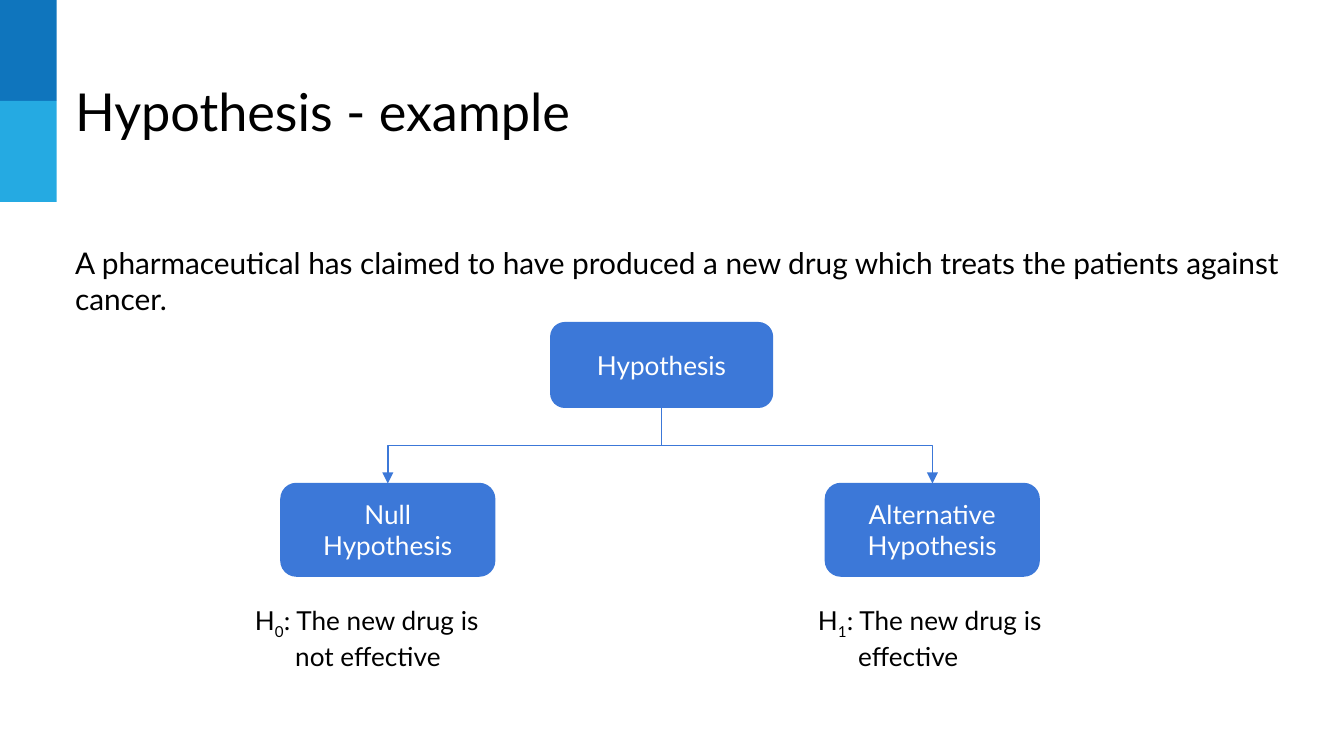
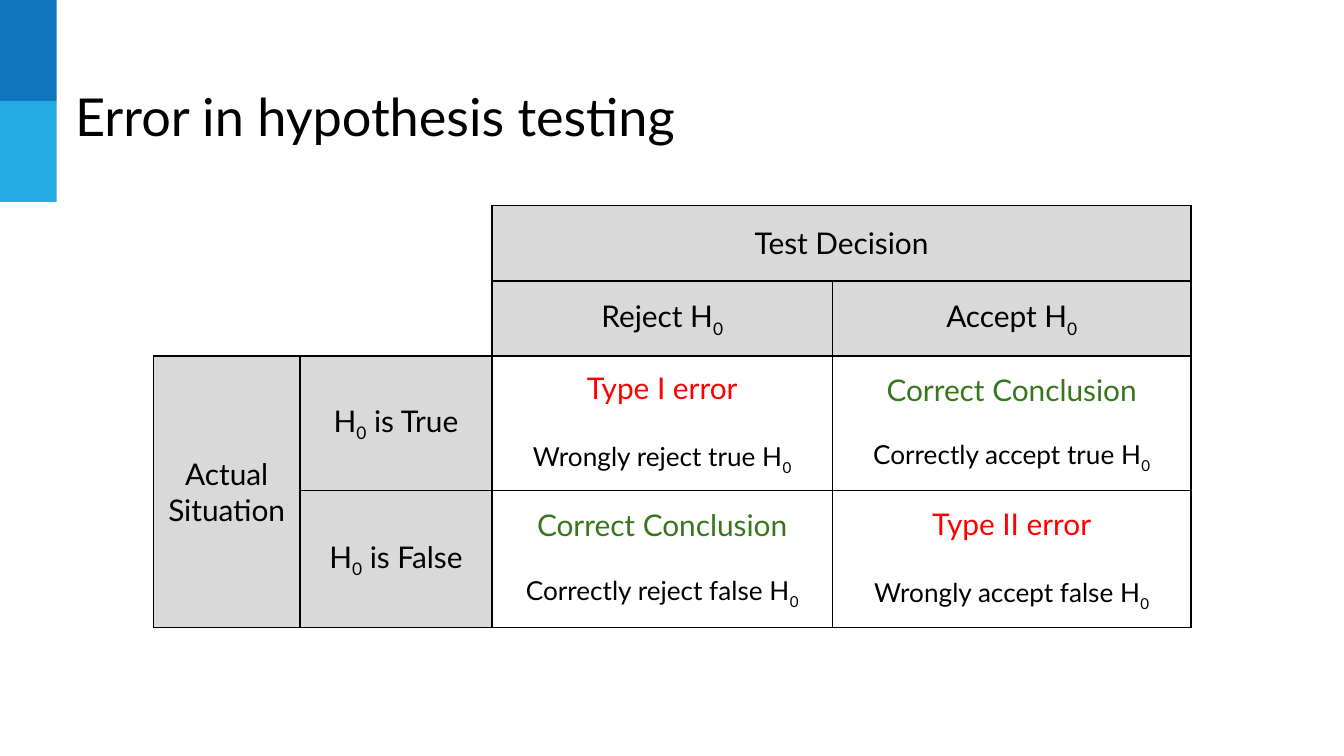
from dataclasses import dataclass

from lxml.etree import SubElement
from pptx import Presentation
from pptx.dml.color import RGBColor
from pptx.enum.shapes import MSO_CONNECTOR as Connector
from pptx.enum.shapes import MSO_SHAPE as Preset
from pptx.enum.text import MSO_ANCHOR as Anchor
from pptx.enum.text import PP_ALIGN as Align
from pptx.oxml.ns import qn
from pptx.util import Cm, Pt

FONT = "Lato"
BLACK = RGBColor(0x00, 0x00, 0x00)
WHITE = RGBColor(0xFF, 0xFF, 0xFF)
DARK_BLUE = RGBColor(0x0F, 0x75, 0xBD)
LIGHT_BLUE = RGBColor(0x25, 0xAA, 0xE2)
NODE_BLUE = RGBColor(0x3C, 0x78, 0xD8)
GREY = RGBColor(0xD9, 0xD9, 0xD9)
RED = RGBColor(0xFF, 0x00, 0x00)
GREEN = RGBColor(0x38, 0x76, 0x1D)

INSET = Cm(0.25)
LINE_WIDTH = Pt(0.75)
BAND_WIDTH, BAND_HEIGHT = 1.07, 1.91

HEADINGS = {
    (0, 2): "Test Decision",
    (1, 2): "Reject H_0",
    (1, 3): "Accept H_0",
    (2, 0): "Actual Situation",
    (2, 1): "H_0 is True",
    (3, 1): "H_0 is False",
}
OUTCOMES = {
    (2, 2): ("Type I error", RED, "Wrongly reject true H_0", 19),
    (2, 3): ("Correct Conclusion", GREEN, "Correctly accept true H_0", 17),
    (3, 2): ("Correct Conclusion", GREEN, "Correctly reject false H_0", 17),
    (3, 3): ("Type II error", RED, "Wrongly accept false H_0", 19),
}


@dataclass
class Box:
    left: float
    top: float
    width: float
    height: float

    def inside(self, left, top, width, height):
        return Box(self.left + left, self.top + top, width, height)

    def lengths(self):
        return Cm(self.left), Cm(self.top), Cm(self.width), Cm(self.height)


def write_paragraph(paragraph, text, size, color=BLACK, align=Align.LEFT):
    first, *rest = text.split("_")
    paragraph.add_run().text = first
    for piece in rest:
        subscript = paragraph.add_run()
        subscript.text = piece[0]
        subscript._r.get_or_add_rPr().set("baseline", "-25000")
        if piece[1:]:
            paragraph.add_run().text = piece[1:]
    paragraph.alignment = align
    paragraph.font.name = FONT
    paragraph.font.size = Pt(size)
    paragraph.font.color.rgb = color


def set_insets(target):
    target.margin_left = target.margin_right = INSET
    target.margin_top = target.margin_bottom = INSET


def add_text(slide, box, text, size):
    frame = slide.shapes.add_textbox(*box.lengths()).text_frame
    frame.word_wrap = True
    set_insets(frame)
    paragraph = frame.paragraphs[0]
    write_paragraph(paragraph, text, size)
    return paragraph


def add_block(slide, preset, box, color):
    shape = slide.shapes.add_shape(preset, *box.lengths())
    shape.shadow.inherit = False
    shape.fill.solid()
    shape.fill.fore_color.rgb = color
    return shape


def add_header(slide, box, title, title_top):
    for index, color in enumerate((DARK_BLUE, LIGHT_BLUE)):
        band_box = box.inside(0, index * BAND_HEIGHT, BAND_WIDTH, BAND_HEIGHT)
        band = add_block(slide, Preset.RECTANGLE, band_box, color)
        band.line.fill.background()
    add_text(slide, box.inside(1.17, title_top, 18.72, 1.6), title, 28)


def add_node(slide, box, text):
    node = add_block(slide, Preset.ROUNDED_RECTANGLE, box, NODE_BLUE)
    node.line.color.rgb = NODE_BLUE
    node.line.width = LINE_WIDTH
    frame = node.text_frame
    frame.word_wrap = True
    frame.vertical_anchor = Anchor.MIDDLE
    set_insets(frame)
    write_paragraph(frame.paragraphs[0], text, 14, WHITE, Align.CENTER)
    return node


def add_branch(slide, parent, child):
    branch = slide.shapes.add_connector(Connector.ELBOW, 0, 0, 0, 0)
    branch.begin_connect(parent, 2)
    branch.end_connect(child, 0)
    span = abs(branch.end_x - branch.begin_x)
    drop = branch.end_y - branch.begin_y
    middle_x = (branch.begin_x + branch.end_x) // 2
    middle_y = (branch.begin_y + branch.end_y) // 2
    goes_left = branch.end_x < branch.begin_x

    branch.left, branch.top = middle_x - drop // 2, middle_y - span // 2
    branch.width, branch.height = drop, span
    properties = branch._element.spPr
    properties.xfrm.set("rot", str((90 if goes_left else 270) * 60000))
    properties.xfrm.flipH = not goes_left

    branch.line.color.rgb = NODE_BLUE
    branch.line.width = LINE_WIDTH
    SubElement(properties.find(qn("a:ln")), qn("a:tailEnd"), type="triangle")
    SubElement(properties, qn("a:effectLst"))


def add_hypothesis_tree(slide, box):
    root = add_node(slide, box.inside(5.1, 0, 4.19, 1.6), "Hypothesis")
    branches = (
        (0, "Null Hypothesis", -0.74, 5.54, "H_0: The new drug is not effective"),
        (10.29, "Alternative Hypothesis", 9.9, 4.78, "H_1: The new drug is effective"),
    )
    for left, name, claim_left, claim_width, claim in branches:
        child = add_node(slide, box.inside(left, 3.04, 4.04, 1.75), name)
        add_branch(slide, root, child)
        claim_box = box.inside(claim_left, 5.08, claim_width, 1.6)
        properties = add_text(slide, claim_box, claim, 14)._p.get_or_add_pPr()
        properties.set("marL", str(Cm(0.76)))
        properties.set("indent", str(-Cm(0.76)))


def set_borders(cell, visible):
    properties = cell._tc.get_or_add_tcPr()
    for side in "LRTB":
        line = SubElement(properties, qn(f"a:ln{side}"), w=str(LINE_WIDTH))
        if side in visible:
            fill = SubElement(line, qn("a:solidFill"))
            SubElement(fill, qn("a:srgbClr"), val=str(BLACK))
        else:
            SubElement(line, qn("a:noFill"))


def fill_cell(cell, row, column):
    set_insets(cell)
    cell.vertical_anchor = Anchor.MIDDLE
    if row < 2 and column < 2:
        set_borders(cell, ("R" if column == 1 else "") + ("B" if row == 1 else ""))
    else:
        set_borders(cell, "LRTB")
    cell.fill.background()

    paragraph = cell.text_frame.paragraphs[0]
    if (row, column) in HEADINGS:
        cell.fill.solid()
        cell.fill.fore_color.rgb = GREY
        write_paragraph(paragraph, HEADINGS[row, column], 16, align=Align.CENTER)
    elif (row, column) in OUTCOMES:
        verdict, color, detail, gap = OUTCOMES[row, column]
        write_paragraph(paragraph, verdict, 16, color, Align.CENTER)
        explanation = cell.text_frame.add_paragraph()
        write_paragraph(explanation, detail, 14, align=Align.CENTER)
        explanation.space_before = Pt(gap)


def add_error_table(slide, box):
    widths = (2.77, 3.63, 6.43, 6.78)
    heights = (1.42, 1.42, 2.54, 2.59)
    frame = slide.shapes.add_table(len(heights), len(widths), *box.lengths())
    table = frame.table
    table.first_row = table.horz_banding = False
    for column, width in zip(table.columns, widths):
        column.width = Cm(width)
    for row, height in zip(table.rows, heights):
        row.height = Cm(height)
    for row in range(len(heights)):
        for column in range(len(widths)):
            fill_cell(table.cell(row, column), row, column)
    table.cell(0, 2).merge(table.cell(0, 3))
    table.cell(2, 0).merge(table.cell(3, 0))


def build_example_slide(slide, box):
    add_header(slide, box, "Hypothesis - example", 1.24)
    claim = (
        "A pharmaceutical has claimed to have produced a new drug "
        "which treats the patients against cancer."
    )
    add_text(slide, box.inside(1.17, 4.37, 23.37, 2.79), claim, 16)
    add_hypothesis_tree(slide, box.inside(5.31, 6.1, 14.33, 6.68))


def build_error_slide(slide, box):
    add_header(slide, box, "Error in hypothesis testing", 1.35)
    add_error_table(slide, box.inside(2.9, 3.89, 19.61, 7.97))


def main():
    page = Box(0, 0, 25.4, 14.29)
    presentation = Presentation()
    presentation.slide_width = Cm(page.width)
    presentation.slide_height = Cm(page.height)
    blank = presentation.slide_layouts[6]
    for build in (build_example_slide, build_error_slide):
        build(presentation.slides.add_slide(blank), page)
    presentation.save("out.pptx")


if __name__ == "__main__":
    main()
